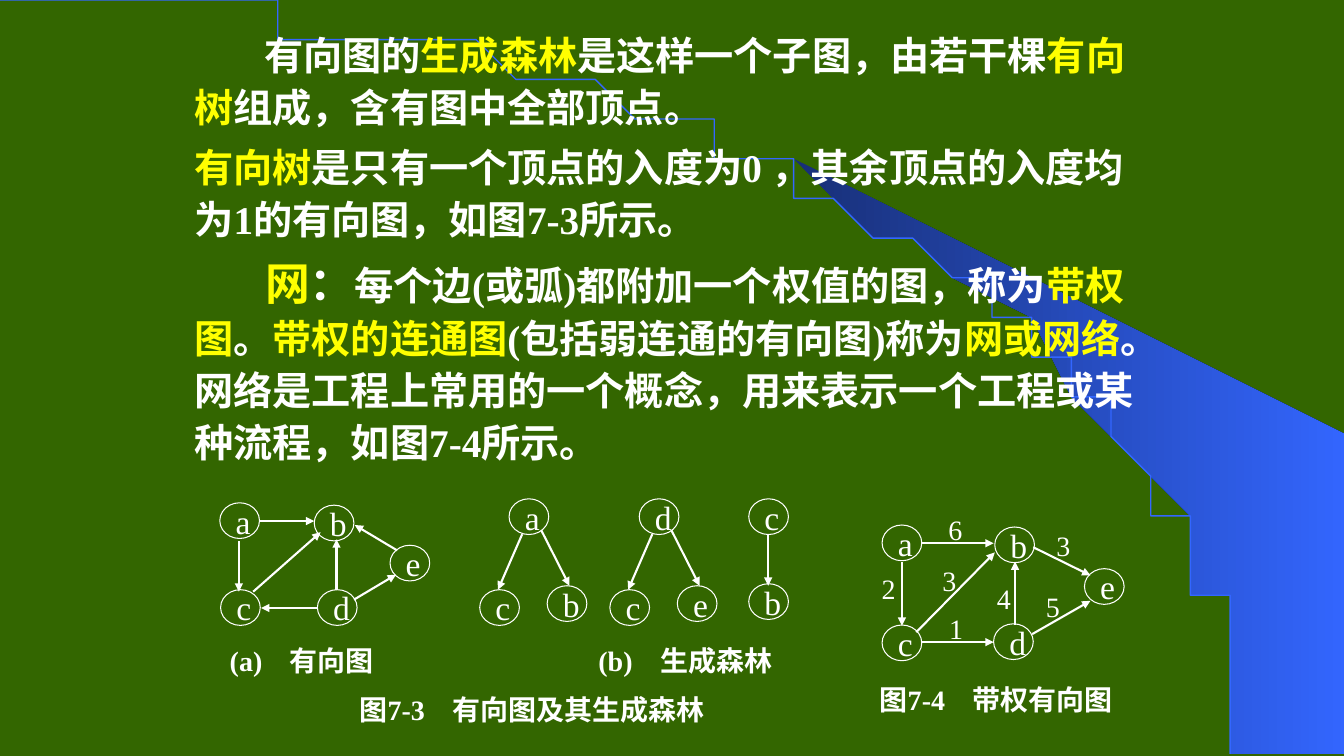
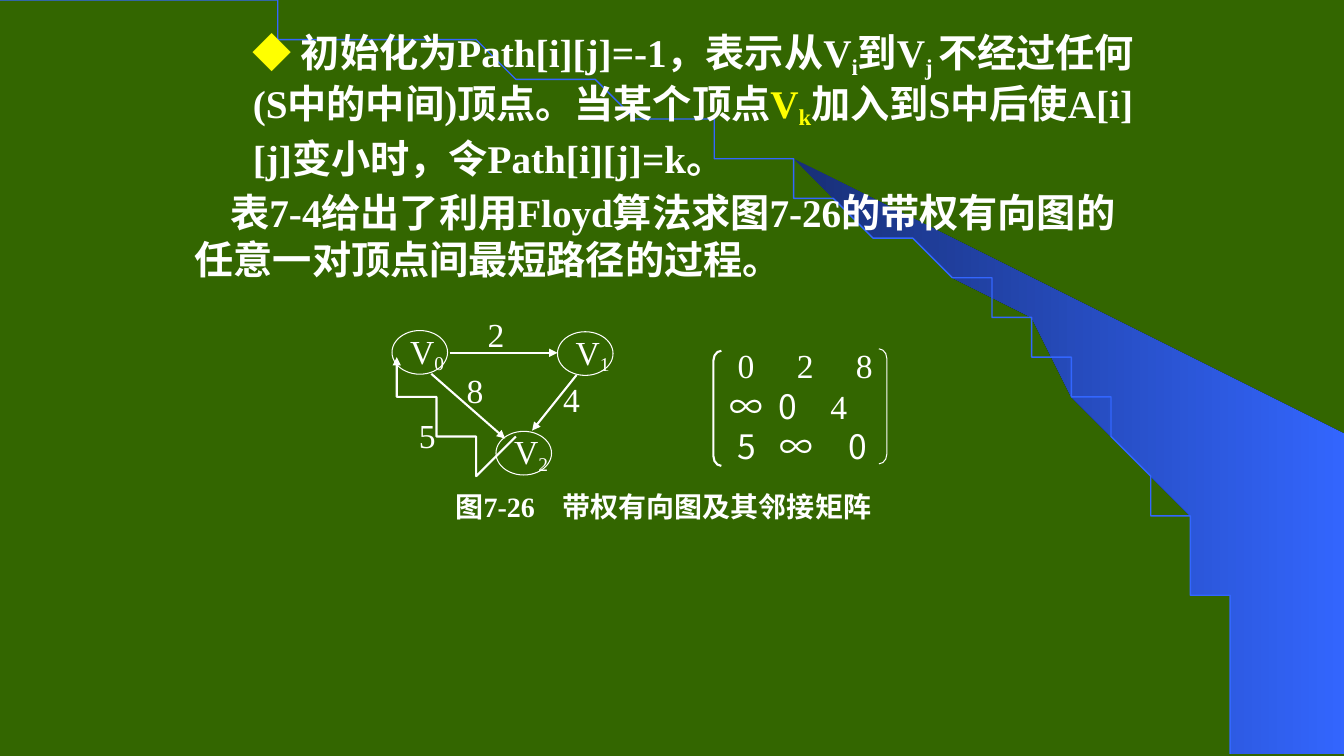
from typing import NamedTuple

from lxml.etree import SubElement
from pptx import Presentation
from pptx.dml.color import RGBColor
from pptx.enum.shapes import MSO_CONNECTOR, MSO_SHAPE
from pptx.enum.text import MSO_ANCHOR, MSO_AUTO_SIZE, PP_ALIGN
from pptx.oxml.ns import qn
from pptx.util import Cm, Pt

GREEN, NAVY, BLUE = "336600", "182F76", "3366FF"
WHITE, YELLOW = "FFFFFF", "FFFF00"
SERIF, SANS = "Times New Roman", "Noto Sans CJK SC"
Point = tuple[float, float]


class Run(NamedTuple):
    text: str
    color: str = WHITE
    size: float = 28
    font: str = SERIF
    bold: bool = True
    sub: bool = False


class Para(NamedTuple):
    runs: list[Run]
    line: float
    before: float = 0
    left: float = 0
    first: float = 0
    level: int = 0


class Node(NamedTuple):
    label: str
    x: float
    y: float
    sub: str = ""


class Edge(NamedTuple):
    x1: float
    y1: float
    x2: float
    y2: float


class Label(NamedTuple):
    text: str
    x: float
    y: float


class Caption(NamedTuple):
    text: str
    x: float
    y: float
    w: float
    tab: float


class MatrixRow(NamedTuple):
    runs: list[Run]
    x: float
    y: float
    tabs: list[float]


def rgb(color: str) -> RGBColor:
    return RGBColor.from_string(color)


def add_run(p, run: Run) -> None:
    r = p.add_run()
    r.text = run.text
    r.font.size, r.font.bold, r.font.name = Pt(run.size), run.bold, run.font
    r.font.color.rgb = rgb(run.color)
    rPr = r._r.get_or_add_rPr()
    SubElement(rPr, qn("a:ea")).set("typeface", SANS)
    if run.sub:
        rPr.set("baseline", "-18000")


def write_body(tf, paras: list[Para]) -> None:
    tf.word_wrap, tf.auto_size = True, MSO_AUTO_SIZE.NONE
    tf.vertical_anchor = MSO_ANCHOR.TOP
    for i, para in enumerate(paras):
        p = tf.add_paragraph() if i else tf.paragraphs[0]
        pPr = p._p.get_or_add_pPr()
        pPr.set("marL", str(Cm(para.left)))
        pPr.set("indent", str(Cm(para.first)))
        SubElement(pPr, qn("a:buNone"))
        p.level, p.alignment = para.level, PP_ALIGN.LEFT
        p.line_spacing, p.space_before = Pt(para.line), Pt(para.before)
        for run in para.runs:
            add_run(p, run)


def write_line(tf, runs: list[Run], tabs: list[float]) -> None:
    """Fill a frame with one unwrapped, vertically centred line."""
    tf.word_wrap, tf.auto_size = False, MSO_AUTO_SIZE.NONE
    tf.vertical_anchor = MSO_ANCHOR.MIDDLE
    p = tf.paragraphs[0]
    p.alignment = PP_ALIGN.LEFT
    if tabs:
        stops = SubElement(p._p.get_or_add_pPr(), qn("a:tabLst"))
        for pos in tabs:
            tab = SubElement(stops, qn("a:tab"))
            tab.set("pos", str(Cm(pos)))
            tab.set("algn", "l")
    for run in runs:
        add_run(p, run)


def add_line_text(s, x: float, y: float, w: float, h: float,
                  runs: list[Run], tabs: list[float]) -> None:
    box = s.shapes.add_textbox(Cm(x), Cm(y), Cm(w), Cm(h))
    write_line(box.text_frame, runs, tabs)


def outline(sp, width: float, color: str = WHITE) -> None:
    sp.shadow.inherit = False
    sp.fill.background()
    sp.line.color.rgb, sp.line.width = rgb(color), Pt(width)


def add_arrowhead(sp) -> None:
    SubElement(sp.line._get_or_add_ln(), qn("a:tailEnd")).set("type", "triangle")


def add_nodes(s, nodes: list[Node], w: float = 1, h: float = 0.9) -> None:
    for n in nodes:
        sp = s.shapes.add_shape(MSO_SHAPE.OVAL, Cm(n.x), Cm(n.y), Cm(w), Cm(h))
        outline(sp, 0.75)
        runs = [Run(n.label, size=24, bold=False)]
        if n.sub:
            runs.append(Run(n.sub, size=24, bold=False, sub=True))
        write_line(sp.text_frame, runs, [])


def add_edges(s, edges: list[Edge]) -> None:
    for e in edges:
        c = s.shapes.add_connector(MSO_CONNECTOR.STRAIGHT, *(Cm(v) for v in e))
        c.line.color.rgb, c.line.width = rgb(WHITE), Pt(1.5)
        add_arrowhead(c)
        SubElement(c._element.spPr, qn("a:effectLst"))


def add_labels(s, labels: list[Label], side: float, size: float) -> None:
    for t in labels:
        add_line_text(s, t.x, t.y, side, side, [Run(t.text, size=size, bold=False)], [])


def add_captions(s, captions: list[Caption]) -> None:
    for c in captions:
        add_line_text(s, c.x, c.y, c.w, 0.9, [Run(c.text, size=20)], [c.tab])


def add_tree(s, x: float, root: str, left: str, right: str) -> None:
    add_nodes(s, [Node(root, x + 0.74, 12.57), Node(left, x, 14.86),
                  Node(right, x + 1.7, 14.76)])
    add_edges(s, [Edge(x + 1.07, 13.46, x + 0.46, 14.86),
                  Edge(x + 1.55, 13.36, x + 2.26, 14.76)])


def bezier(points: list[Point], steps: int) -> list[Point]:
    """Sample a chain of cubic curves that share their end points."""
    out = [points[0]]
    for k in range(0, len(points) - 1, 3):
        for i in range(1, steps + 1):
            t = i / steps
            weights = ((1 - t) ** 3, 3 * t * (1 - t) ** 2, 3 * t * t * (1 - t), t ** 3)
            part = points[k:k + 4]
            out.append((sum(w * q[0] for w, q in zip(weights, part)),
                        sum(w * q[1] for w, q in zip(weights, part))))
    return out


def add_path(s, points: list[Point], close: bool):
    fb = s.shapes.build_freeform(*points[0], scale=Cm(1))
    fb.add_line_segments(points[1:], close=close)
    return fb.convert_to_shape()


def decorate_master(prs, s) -> None:
    """Draw the shared backdrop on a slide, then move it to the master."""
    master = prs.slide_master
    master.background.fill.solid()
    master.background.fill.fore_color.rgb = rgb(GREEN)
    wedge = add_path(s, [
        (31.17, 19), (33.81, 19.02), (33.81, 10.74), (19.96, 4.39), (21.13, 5.05),
        (22.1, 5.64), (23.19, 6.35), (24.26, 7.11), (25.81, 8.38), (27.18, 9.75),
        (28.19, 10.95), (29.06, 12.17), (29.74, 13.41), (30.25, 14.53),
        (30.58, 15.47), (30.91, 16.66), (31.06, 17.68)], True)
    wedge.shadow.inherit = False
    wedge.fill.gradient()
    wedge.fill.gradient_angle = 0
    for stop, color in zip(wedge.fill.gradient_stops, (NAVY, BLUE)):
        stop.color.rgb = rgb(color)
    wedge.line.fill.background()
    arc = add_path(s, bezier([(0, 0), (17.2, 0), (31.14, 8.51), (31.14, 19.02)], 60), False)
    outline(arc, 1, BLUE)
    for i, sp in enumerate((wedge, arc)):
        master.shapes._spTree.insert(2 + i, sp._element)


def build_forest_slide(s) -> None:
    box = s.shapes.add_textbox(Cm(4.65), Cm(0.53), Cm(24.56), Cm(11.4))
    write_body(box.text_frame, [
        Para([Run("有向图的"), Run("生成森林", YELLOW), Run("是这样一个子图，由若干棵"),
              Run("有向树", YELLOW), Run("组成，含有图中全部顶点。")], 37.2, first=1.76),
        Para([Run("有向树", YELLOW),
              Run("是只有一个顶点的入度为0 ，其余顶点的入度均为1的有向图，如图7-3所示。")],
             37.2, 5.6),
        Para([Run("网", YELLOW, 32), Run("：", size=32),
              Run("每个边(或弧)都附加一个权值的图，称为"), Run("带权图", YELLOW), Run("。"),
              Run("带权的连通图", YELLOW), Run("(包括弱连通的有向图)称为"),
              Run("网或网络", YELLOW),
              Run("。网络是工程上常用的一个概念，用来表示一个工程或某种流程，如图7-4所示。")],
             37.2, 10.7, first=1.78)])

    add_nodes(s, [Node("a", 5.54, 12.67), Node("b", 7.92, 12.73), Node("c", 5.56, 14.86),
                  Node("d", 8, 14.86), Node("e", 9.83, 13.74)])
    add_edges(s, [Edge(6.02, 13.64, 6.02, 14.91), Edge(8.48, 14.86, 8.48, 13.59),
                  Edge(6.53, 13.13, 7.92, 13.13), Edge(7.98, 15.32, 6.58, 15.32),
                  Edge(6.38, 14.91, 8.08, 13.41), Edge(8.92, 15.11, 9.98, 14.48),
                  Edge(10.01, 13.87, 8.94, 13.23)])

    add_tree(s, 12.09, "a", "c", "b")
    add_tree(s, 15.37, "d", "c", "e")
    add_nodes(s, [Node("c", 18.87, 12.57), Node("b", 18.87, 14.71)])
    add_edges(s, [Edge(19.36, 13.49, 19.36, 14.76)])

    add_nodes(s, [Node("a", 22.23, 13.23), Node("b", 25.07, 13.28), Node("c", 22.23, 15.75),
                  Node("d", 25.04, 15.72), Node("e", 27.33, 14.33)])
    add_edges(s, [Edge(22.73, 14.17, 22.73, 15.77), Edge(25.58, 15.75, 25.58, 14.15),
                  Edge(23.24, 13.69, 25.04, 13.69), Edge(23.24, 16.18, 25.04, 16.18),
                  Edge(23.09, 15.93, 25.07, 13.92), Edge(26.01, 15.98, 27.48, 15.14),
                  Edge(26.04, 13.79, 27.48, 14.5)])
    add_labels(s, [Label("6", 23.65, 12.95), Label("3", 26.37, 13.34), Label("2", 21.97, 14.43),
                   Label("3", 23.5, 14.22), Label("4", 24.87, 14.68), Label("5", 26.11, 14.88),
                   Label("1", 23.67, 15.44)], 0.79, 20)

    add_captions(s, [Caption("(a)\t有向图", 5.54, 16.18, 3.78, 1.51),
                     Caption("(b)\t生成森林", 14.83, 16.18, 4.65, 1.56),
                     Caption("图7-3\t有向图及其生成森林", 8.81, 17.42, 8.79, 2.34),
                     Caption("图7-4\t带权有向图", 21.92, 17.17, 5.99, 2.34)])


def build_floyd_slide(s) -> None:
    title = s.shapes.title
    title._element.getparent().remove(title._element)
    body = s.placeholders[1]
    body.left, body.top, body.width, body.height = Cm(4.65), Cm(0.6), Cm(24.56), Cm(6.68)
    write_body(body.text_frame, [
        Para([Run("◆", YELLOW, font=SANS), Run(" 初始化为Path[i][j]=-1，表示从V"),
              Run("i", sub=True), Run("到V"), Run("j ", sub=True),
              Run("不经过任何(S中的中间)顶点。当某个顶点"), Run("V", YELLOW),
              Run("k", YELLOW, sub=True),
              Run("加入到S中后使A[i][j]变小时，令Path[i][j]=k。")], 36.2, left=1.47, level=1),
        Para([Run("表7-4给出了利用Floyd算法求图7-26的带权有向图的任意一对顶点间"
                  "最短路径的过程。")], 33.6, 5.6, first=0.9)])

    add_nodes(s, [Node("V", 9.88, 8.33, "0"), Node("V", 14.05, 8.36, "1"),
                  Node("V", 12.5, 10.87, "2")], 1.4, 1.1)
    add_edges(s, [Edge(11.33, 8.89, 14.05, 8.89), Edge(14.53, 9.45, 13.41, 10.85),
                  Edge(10.87, 9.42, 12.73, 11.05)])
    loop = add_path(s, bezier([
        (12.55, 11.46), (12.37, 11.56), (12.19, 11.63), (11.91, 11.46), (11.61, 11.28),
        (11.1, 10.77), (10.85, 10.41), (10.59, 10.06), (10.49, 9.53), (10.41, 9.35)], 12), False)
    outline(loop, 1.5)
    add_arrowhead(loop)
    add_labels(s, [Label("2", 12.04, 7.92), Label("8", 11.51, 9.32), Label("4", 13.94, 9.55),
                   Label("5", 10.31, 10.46)], 1, 24)

    for row in (
            MatrixRow([Run("0\t2\t8", size=24, bold=False)], 18.34, 8.74, [1.49, 2.98]),
            MatrixRow([Run("∞\t0", size=24, font=SANS, bold=False),
                       Run("\t4", size=24, bold=False)], 18.14, 9.78, [1.23, 2.54]),
            MatrixRow([Run("5\t∞\t0", size=24, font=SANS, bold=False)],
                      18.34, 10.8, [1.06, 2.8])):
        add_line_text(s, row.x, row.y, 3.78, 0.9, row.runs, row.tabs)
    for kind, x, y, width in ((MSO_SHAPE.LEFT_BRACKET, 17.98, 8.84, 1.5),
                              (MSO_SHAPE.RIGHT_BRACKET, 22.15, 8.79, 0.75)):
        sp = s.shapes.add_shape(kind, Cm(x), Cm(y), Cm(0.2), Cm(2.9))
        sp.adjustments[0] = 1.217
        outline(sp, width)

    add_captions(s, [Caption("图7-26\t带权有向图及其邻接矩阵", 11.23, 12.32, 10.46, 2.7)])


def main() -> None:
    prs = Presentation()
    prs.slide_width, prs.slide_height = Cm(33.87), Cm(19.05)
    content, blank = prs.slide_layouts[1], prs.slide_layouts[6]
    forest = prs.slides.add_slide(blank)
    decorate_master(prs, forest)
    build_forest_slide(forest)
    build_floyd_slide(prs.slides.add_slide(content))
    prs.save("out.pptx")


if __name__ == "__main__":
    main()
